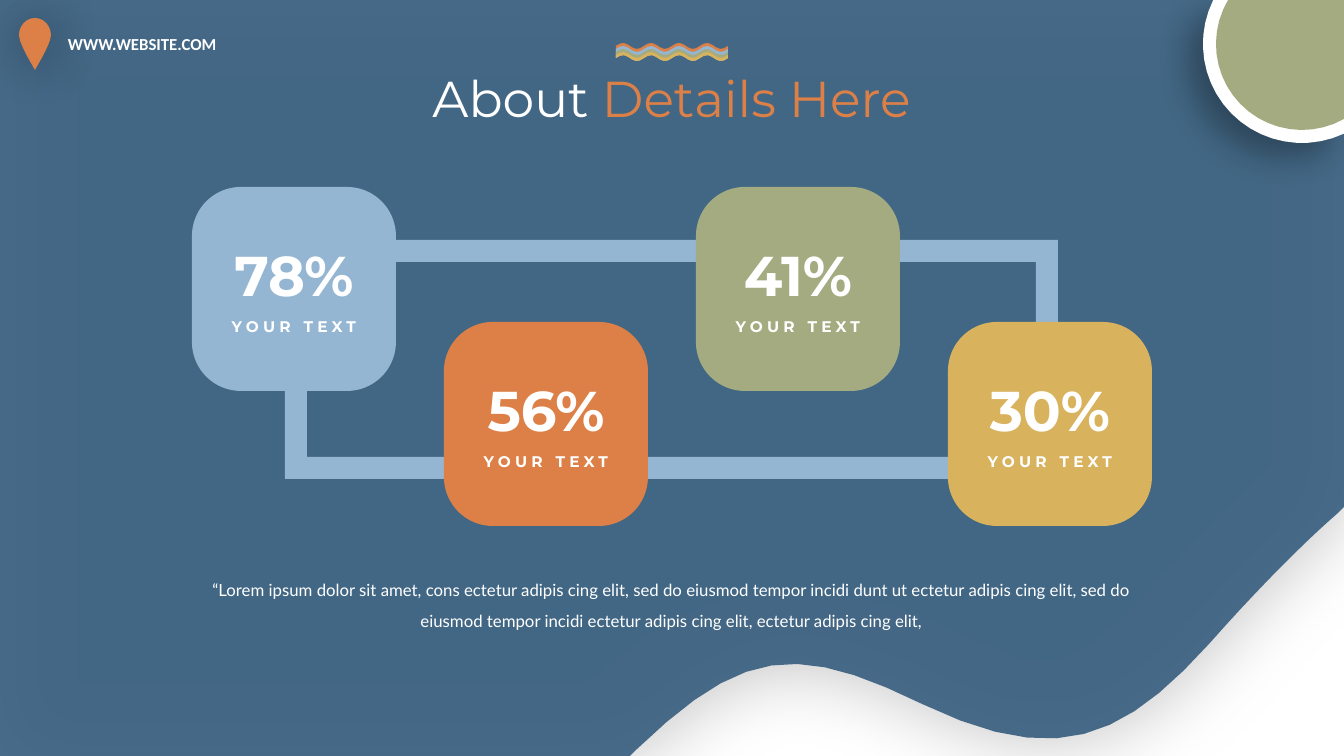
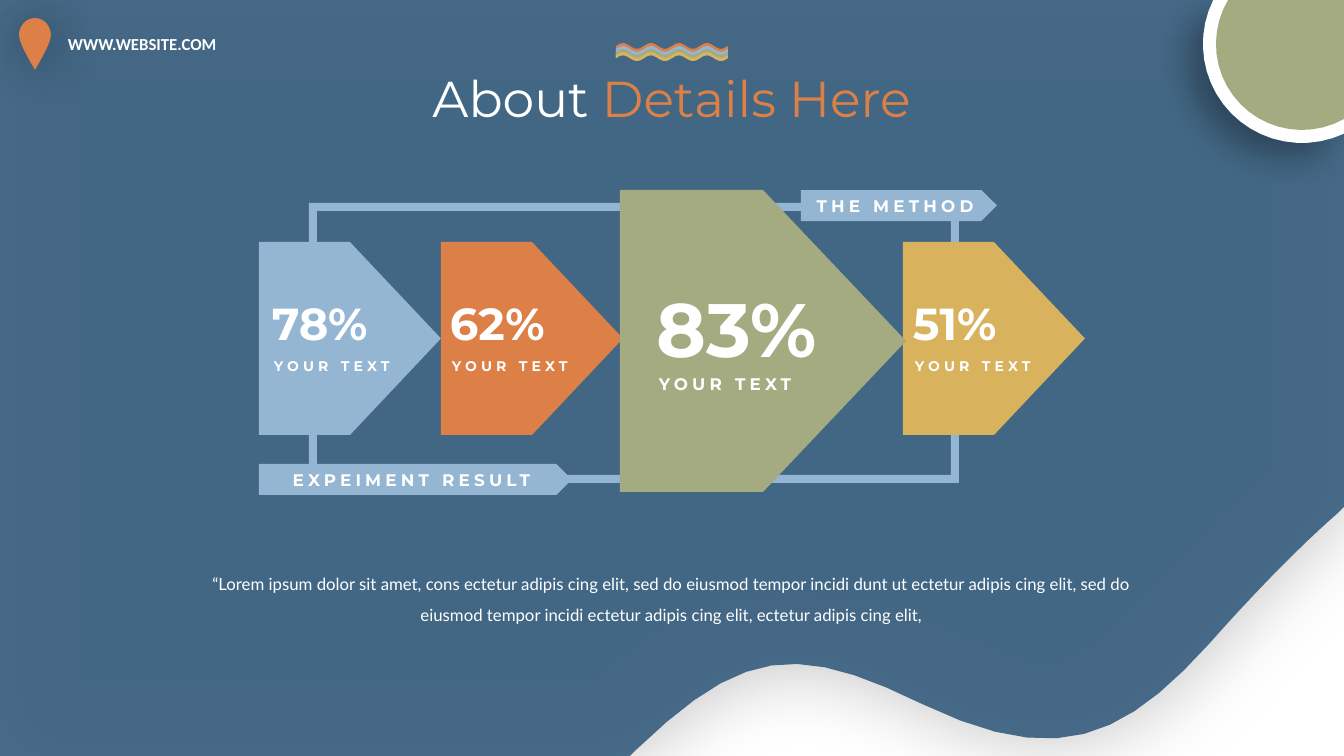
import math
from dataclasses import dataclass, field

from lxml import etree
from pptx import Presentation, util as u
from pptx.dml.color import RGBColor
from pptx.enum import shapes as kinds, text as txt
from pptx.oxml import ns

SHAPE = kinds.MSO_SHAPE
ALIGN = txt.PP_ALIGN
WIDTH, HEIGHT = 1344, 756
PX_PER_INCH = 100.8

QUOTE = (
    "“Lorem ipsum dolor sit amet, cons ectetur adipis cing elit, sed do eiusmod "
    "tempor incidi dunt ut ectetur adipis cing elit, sed do eiusmod tempor incidi "
    "ectetur adipis cing elit, ectetur adipis cing elit,"
)


def font(name, size, bold=False):
    return {"name": name, "size": u.Pt(size), "bold": bold}


@dataclass(frozen=True)
class Theme:
    white: str = "FFFFFF"
    navy: str = "355D7E"
    blue: str = "94B6D2"
    orange: str = "DD8047"
    green: str = "A5AB81"
    yellow: str = "D8B25C"
    letter_gap: int = 300  # hundredths of a point
    fonts: dict = field(default_factory=lambda: {
        "title": font("Montserrat", 36),
        "site": font("Calibri", 12, True),
        "quote": font("Lato", 12),
        "banner": font("Montserrat", 12, True),
        "card value": font("Montserrat", 40, True),
        "card label": font("Montserrat", 11, True),
        "arrow value": font("Montserrat", 32, True),
        "arrow label": font("Montserrat", 10, True),
        "big value": font("Montserrat", 54, True),
        "big label": font("Montserrat", 12, True),
    })


THEME = Theme()


def emu(px):
    return round(px * u.Inches(1) / PX_PER_INCH)


def set_all(target, values):
    for name, value in values.items():
        setattr(target, name, value)


# Fill, shadow and text formatting
def paint(shape, color, alpha=None, shadow=None):
    """Fill a shape; shadow is (opacity %, blur pt, distance pt, angle)."""
    shape.fill.solid()
    shape.fill.fore_color.rgb = RGBColor.from_string(color)
    shape.line.fill.background()
    shape.shadow.inherit = False
    properties = shape.element.spPr
    if alpha:
        tone = properties.find(ns.qn("a:solidFill"))[0]
        etree.SubElement(tone, ns.qn("a:alpha"), val=str(alpha * 1000))
    if shadow:
        opacity, blur, distance, angle = shadow
        outer = etree.SubElement(
            properties.find(ns.qn("a:effectLst")), ns.qn("a:outerShdw"),
            blurRad=str(u.Pt(blur)), dist=str(u.Pt(distance)),
            dir=str(angle * 60000), algn="ctr", rotWithShape="0")
        tone = etree.SubElement(outer, ns.qn("a:srgbClr"), val="000000")
        etree.SubElement(tone, ns.qn("a:alpha"), val=str(opacity * 1000))
    return shape


def write(box, spans, style, align=ALIGN.LEFT, spaced=False, line=None,
          wrap=True, anchor=txt.MSO_ANCHOR.TOP):
    """Put (words, colour) spans into one paragraph."""
    set_all(box.text_frame, {
        "word_wrap": wrap, "vertical_anchor": anchor,
        "auto_size": txt.MSO_AUTO_SIZE.NONE})
    para = box.text_frame.paragraphs[0]
    set_all(para, {"alignment": align, "line_spacing": line})
    for words, color in spans:
        span = para.add_run()
        span.text = words
        set_all(span.font, THEME.fonts[style])
        span.font.color.rgb = RGBColor.from_string(color)
        if spaced:
            span._r.get_or_add_rPr().set("spc", str(THEME.letter_gap))


# Element makers
def add_text(page, frame, words, style, **options):
    box = page.shapes.add_textbox(*map(emu, frame))
    write(box, [(words, THEME.white)], style, **options)


def add_block(page, kind, frame, color, adjust=None):
    block = page.shapes.add_shape(kind, *map(emu, frame))
    if adjust is not None:
        block.adjustments[0] = adjust
    return paint(block, color)


def add_track(page, frame, thickness):
    add_block(page, SHAPE.FRAME, frame, THEME.blue, thickness / min(frame[2:]))


def add_outline(page, points, color, **look):
    start, *rest = [(emu(x), emu(y)) for x, y in points]
    builder = page.shapes.build_freeform(*start)
    builder.add_line_segments(rest, close=True)
    return paint(builder.convert_to_shape(), color, **look)


def add_figure(page, left, top, width, value, style, label_gap, indent=0,
               align=ALIGN.LEFT):
    """A percentage with its spaced label below."""
    add_text(page, (left, top, width, label_gap), value, style + " value",
             align=align)
    add_text(page, (left + indent, top + label_gap, width, 30), "YOUR TEXT",
             style + " label", align=align, spaced=True)


def add_banner(page, frame, words):
    banner = add_block(page, SHAPE.PENTAGON, frame, THEME.blue)
    write(banner, [(words, THEME.white)], "banner", align=ALIGN.CENTER,
          spaced=True, wrap=False, anchor=txt.MSO_ANCHOR.MIDDLE)


# Outlines
def trace(*steps, parts=10):
    """Points along steps: (x, y) is a line, six numbers are a Bézier curve."""
    points = []
    for step in steps:
        if len(step) == 2:
            points.append(step)
            continue
        knots = [points[-1], step[:2], step[2:4], step[4:]]
        for i in range(1, parts + 1):
            t = i / parts
            weights = [math.comb(3, k) * t**k * (1 - t)**(3 - k) for k in range(4)]
            points.append(tuple(
                sum(w * knot[axis] for w, knot in zip(weights, knots))
                for axis in (0, 1)))
    return points


def corner_disc(center_x, center_y, radius, parts=20):
    """A disc cut off by the top and right edges of the slide."""
    first = math.acos((WIDTH - center_x) / radius)
    last = math.pi + math.asin(center_y / radius)
    angles = [first + (last - first) * i / parts for i in range(parts + 1)]
    return [(WIDTH, 0)] + [(center_x + radius * math.cos(a),
                            center_y + radius * math.sin(a)) for a in angles]


def ripple(top, bottom, left=616, period=28, waves=4, height=3):
    columns = range(left, left + period * waves + 1, 4)

    def edge(middle):
        return [(x, middle - height * math.sin(2 * math.pi * (x - left) / period))
                for x in columns]

    return edge(top) + edge(bottom)[::-1]


# Parts shared by the slides
def add_page(deck):
    page = deck.slides.add_slide(deck.slide_layouts[5])
    backdrop = trace(
        (0, 0), (WIDTH, 0), (WIDTH, 507), (1338, 513),
        (1309, 538, 1262, 584, 1209, 644), (1123, 739, 1057, 769, 922, 704),
        (796, 642, 742, 648, 636, 750), (630, HEIGHT), (0, HEIGHT))
    add_outline(page, backdrop, THEME.navy, alpha=90, shadow=(26, 57, 3, 45))

    pin = trace(
        (35, 70), (33, 66, 19, 44, 19, 35), (19, 26, 26, 18, 35, 18),
        (44, 18, 51, 26, 51, 35), (51, 44, 37, 66, 35, 70), parts=6)
    add_outline(page, pin, THEME.orange, shadow=(40, 38, 0, 0))
    add_text(page, (58, 29, 255, 30), "WWW.WEBSITE.COM", "site")

    add_outline(page, corner_disc(1302, 44, 99), THEME.white,
                shadow=(29, 23, 15, 135))
    add_outline(page, corner_disc(1302, 44, 86), THEME.green)

    # The title goes in front of the backdrop
    title = page.shapes.title
    title.element.getparent().append(title.element)
    frame = map(emu, (404, 62, 535, 72))
    set_all(title, dict(zip(("left", "top", "width", "height"), frame)))
    write(title, [("About ", THEME.white), ("Details Here", THEME.orange)],
          "title", align=ALIGN.CENTER)

    colors = (THEME.orange, THEME.blue, THEME.green, THEME.yellow)
    for row, color in enumerate(colors):
        add_outline(page, ripple(46 + 3 * row, 58), color)
    return page


def add_quote(page, top):
    add_text(page, (178, top, 987, 68), QUOTE, "quote", align=ALIGN.CENTER,
             line=1.5)


# Slides
def build_cards(deck):
    page = add_page(deck)
    add_track(page, (285, 240, 773, 239), 22)
    side, step, tops = 204, 252, (187, 322)
    cards = (("78%", THEME.blue), ("56%", THEME.orange),
             ("41%", THEME.green), ("30%", THEME.yellow))
    for column, (value, color) in enumerate(cards):
        left, top = 192 + step * column, tops[column % 2]
        add_block(page, SHAPE.ROUNDED_RECTANGLE, (left, top, side, side), color,
                  0.24)
        add_figure(page, left, top + 49, side, value, "card", 76,
                   align=ALIGN.CENTER)
    add_quote(page, 565)


def build_arrows(deck):
    page = add_page(deck)
    add_track(page, (309, 203, 650, 280), 8)
    arrows = (  # left, colour, value, left of the value
        (259, THEME.blue, "78%", 262),
        (441, THEME.orange, "62%", 440),
        (903, THEME.yellow, "51%", 903))
    for left, color, value, value_left in arrows:
        add_block(page, SHAPE.PENTAGON, (left, 242, 182, 193), color)
        add_figure(page, value_left, 291, 182, value, "arrow", 62, indent=2)
    add_block(page, SHAPE.PENTAGON, (620, 190, 286, 302), THEME.green)
    add_figure(page, 647, 277, 240, "83%", "big", 92, indent=2)
    add_banner(page, (259, 464, 313, 31), "EXPEIMENT RESULT")
    add_banner(page, (801, 190, 196, 31), "THE METHOD")
    add_quote(page, 559)


def main():
    deck = Presentation()
    set_all(deck, {"slide_width": emu(WIDTH), "slide_height": emu(HEIGHT)})
    build_cards(deck)
    build_arrows(deck)
    deck.save("out.pptx")


if __name__ == "__main__":
    main()
